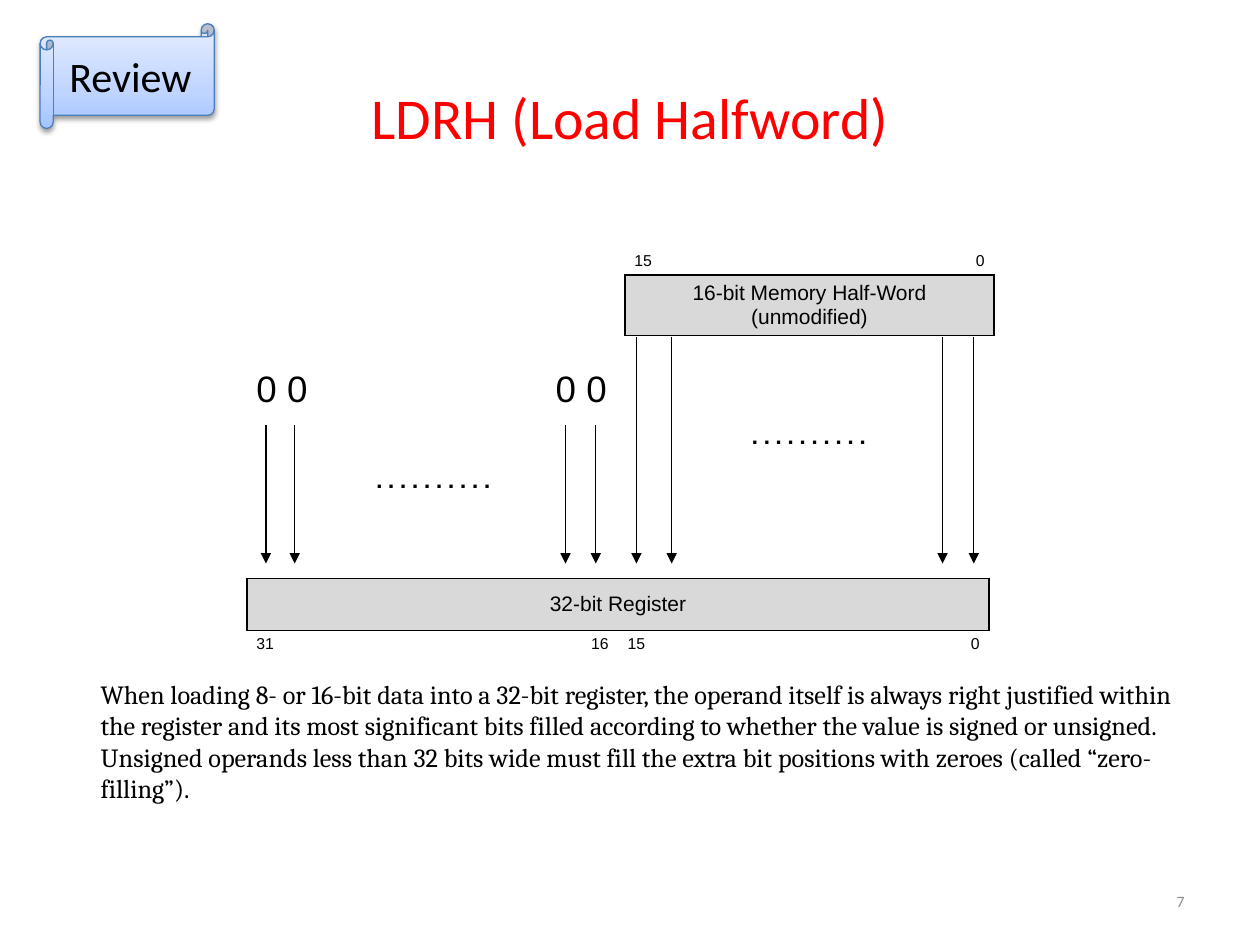
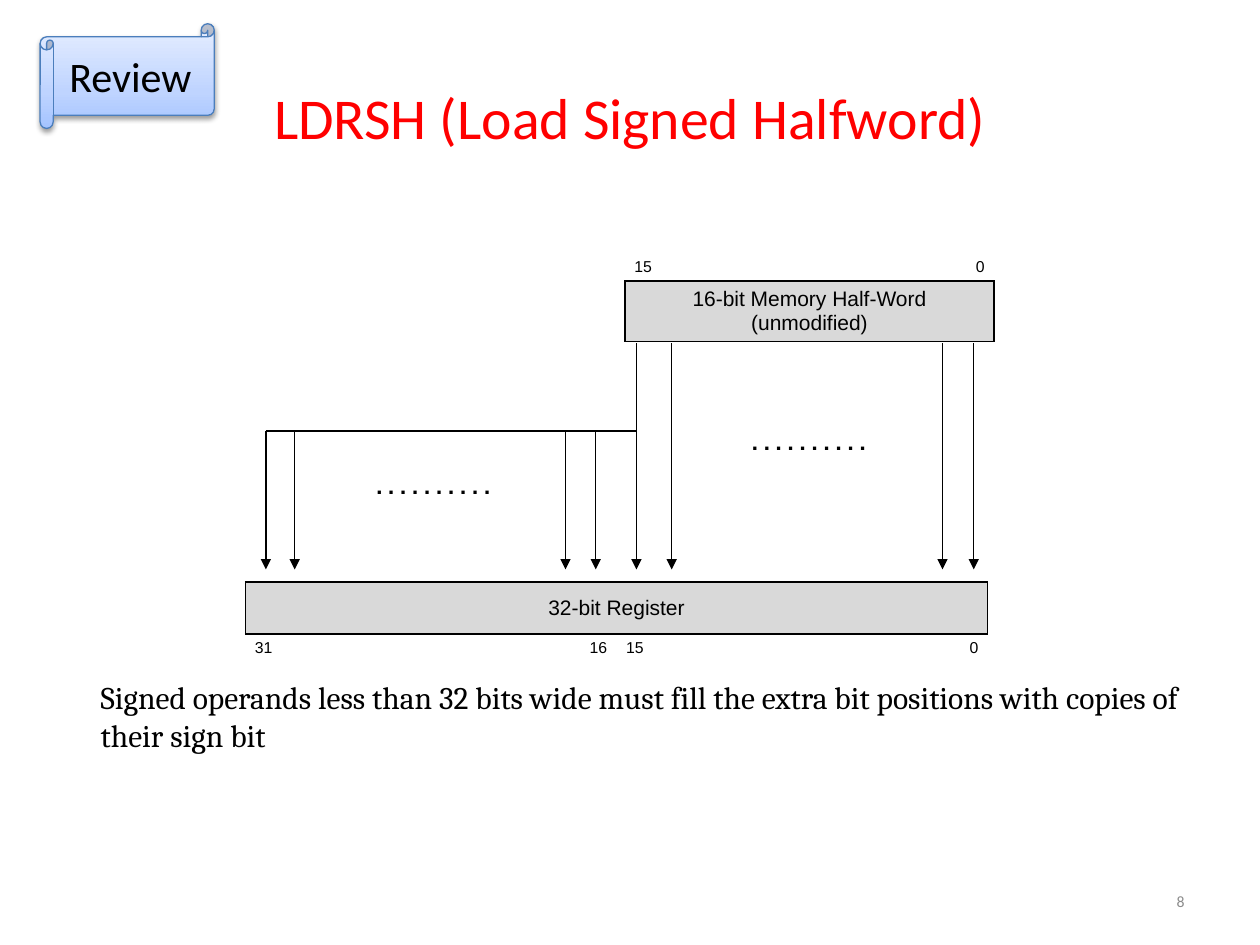
from lxml.etree import SubElement
from pptx import Presentation
from pptx.dml.color import RGBColor
from pptx.enum.shapes import MSO_CONNECTOR, MSO_SHAPE
from pptx.enum.text import MSO_ANCHOR, PP_ALIGN
from pptx.oxml.ns import qn
from pptx.util import Cm, Pt

RED = RGBColor(0xFF, 0x00, 0x00)
BLACK = RGBColor(0x00, 0x00, 0x00)
GREY = RGBColor(0xD9, 0xD9, 0xD9)
DIM = RGBColor(0x8C, 0x8C, 0x8C)
BLUE = RGBColor(0x4B, 0x7E, 0xBC)
FADE = [(0, RGBColor(0xA4, 0xC4, 0xFF)),
        (35, RGBColor(0xBF, 0xD4, 0xFF)),
        (100, RGBColor(0xE6, 0xEE, 0xFF))]

LEFT, MID, RIGHT = PP_ALIGN.LEFT, PP_ALIGN.CENTER, PP_ALIGN.RIGHT
PLAIN = "{2D5ABB26-0587-4C30-8999-92F81FD0307C}"
DOTS = ". . . . . . . . . ."
WORD = 7.44
FULL = 14.96
LOW_X = (5.36, 5.94, 11.4, 12.01)
HIGH_X = (12.83, 13.54, 19, 19.63)
LOW_Y, HIGH_Y, TIP_Y = 8.57, 6.8, 11.36
DROP = 0.12

ZERO = ("When loading 8- or 16-bit data into a 32-bit register, the operand "
        "itself is always right justified within the register and its most "
        "significant bits filled according to whether the value is signed or "
        "unsigned. Unsigned operands less than 32 bits wide must fill the "
        "extra bit positions with zeroes (called “zero-filling”).")
SIGN = ("Signed operands less than 32 bits wide must fill the extra bit "
        "positions with copies of their sign bit")


def write(frame, text, size=12, font="Arial", color=BLACK, align=LEFT,
          bold=False, anchor=MSO_ANCHOR.TOP):
    frame.word_wrap = True
    frame.vertical_anchor = anchor
    para = frame.paragraphs[0]
    para.alignment = align
    run = para.add_run()
    run.text = text
    run.font.size = Pt(size)
    run.font.name = font
    run.font.bold = bold
    run.font.color.rgb = color


def add_text(slide, area, text, **form):
    box = slide.shapes.add_textbox(*map(Cm, area))
    write(box.text_frame, text, **form)


def add_line(slide, start, end, arrow=True):
    line = slide.shapes.add_connector(MSO_CONNECTOR.STRAIGHT,
                                      *map(Cm, start + end))
    line.line.color.rgb = BLACK
    line.line.width = Pt(0.75)
    props = line.element.spPr
    if arrow:
        SubElement(props.find(qn("a:ln")), qn("a:tailEnd"), type="triangle")
    SubElement(props, qn("a:effectLst"))


def add_grid(slide, x, y, width, highs, count):
    frame = slide.shapes.add_table(len(highs), count, Cm(x), Cm(y),
                                   Cm(width), Cm(sum(highs)))
    grid = frame.table
    grid.first_row = grid.horz_banding = False
    frame.element.find(".//" + qn("a:tableStyleId")).text = PLAIN
    for row, high in zip(grid.rows, highs):
        row.height = Cm(high)
    for col in grid.columns:
        col.width = Cm(width / count)
    for cell in grid.iter_cells():
        cell.margin_left = cell.margin_right = Cm(0.19)
        cell.margin_top = cell.margin_bottom = Cm(0.1)
        cell.fill.background()
    return grid


def put(cell, text, anchor=MSO_ANCHOR.TOP, **form):
    write(cell.text_frame, text, **form)
    cell.vertical_anchor = anchor


def add_edge(cell):
    props = cell._tc.get_or_add_tcPr()
    for spot, side in enumerate("LRTB"):
        edge = props.makeelement(qn("a:ln" + side), {"w": str(Pt(1))})
        fill = SubElement(edge, qn("a:solidFill"))
        SubElement(fill, qn("a:srgbClr"), val=str(BLACK))
        props.insert(spot, edge)


def add_bar(grid, row, text):
    last = len(grid.columns) - 1
    for col in range(last + 1):
        add_edge(grid.cell(row, col))
    head = grid.cell(row, 0)
    head.merge(grid.cell(row, last))
    head.fill.solid()
    head.fill.fore_color.rgb = GREY
    put(head, text, align=MID, anchor=MSO_ANCHOR.MIDDLE)


def add_word(slide, y):
    grid = add_grid(slide, 12.6, y, WORD, (1.09, 1.22), 2)
    for col, (text, side) in enumerate((("15", LEFT), ("0", RIGHT))):
        put(grid.cell(0, col), text, size=9, align=side,
            anchor=MSO_ANCHOR.BOTTOM)
    add_bar(grid, 1, "16-bit Memory Half-Word (unmodified)")


def add_reg(slide, x, y):
    grid = add_grid(slide, x, y, FULL, (1.05, 1.05), 8)
    add_bar(grid, 0, "32-bit Register")
    marks = ((0, "31", LEFT), (3, "16", RIGHT), (4, "15", LEFT),
             (7, "0", RIGHT))
    for col, text, side in marks:
        put(grid.cell(1, col), text, size=9, align=side)


def add_zeros(slide):
    grid = add_grid(slide, 4.98, 7.34, WORD, (1.07,), 2)
    for col, side in enumerate((LEFT, RIGHT)):
        put(grid.cell(0, col), "0 0", size=21, align=side)


def add_flow(slide, drop):
    for tops, top in ((LOW_X, LOW_Y), (HIGH_X, HIGH_Y)):
        for x in tops:
            add_line(slide, (x, top + drop), (x, TIP_Y + drop))
    for x, y in ((14.07, 8.31), (6.5, 9.2)):
        add_text(slide, (x, y + drop, 4.47, 0.89), DOTS, size=15,
                 font="Cabin", bold=True, align=MID)


def add_scroll(slide):
    tag = slide.shapes.add_shape(MSO_SHAPE.HORIZONTAL_SCROLL,
                                 *map(Cm, (0.81, 0.48, 3.51, 2.11)))
    tag.fill.gradient()
    tag.fill.gradient_angle = 90
    props = tag.element.spPr
    stops = props.find(".//" + qn("a:gsLst"))
    for stop in list(stops):
        stops.remove(stop)
    for place, color in FADE:
        stop = SubElement(stops, qn("a:gs"), pos=str(place * 1000))
        SubElement(stop, qn("a:srgbClr"), val=str(color))
    tag.line.color.rgb = BLUE
    tag.line.width = Pt(0.75)
    tag.shadow.inherit = False
    shade = SubElement(props.find(qn("a:effectLst")), qn("a:outerShdw"),
                       blurRad=str(Pt(3.1)), dist=str(Pt(1.6)),
                       dir="5400000", rotWithShape="0")
    tint = SubElement(shade, qn("a:srgbClr"), val=str(BLACK))
    SubElement(tint, qn("a:alpha"), val="38000")
    write(tag.text_frame, "Review", size=24, font="Calibri", align=MID,
          anchor=MSO_ANCHOR.MIDDLE)


def add_page(deck, title, note, size, number):
    slide = deck.slides.add_slide(deck.slide_layouts[6])
    add_text(slide, (1.27, 0.76, 22.86, 3.18), title, size=33,
             font="Calibri", color=RED, align=MID, anchor=MSO_ANCHOR.MIDDLE)
    add_text(slide, (1.78, 13.54, 22.45, 2.8), note, size=size,
             font="Cambria")
    add_text(slide, (18.21, 17.65, 5.92, 1.02), number, size=9,
             font="Calibri", color=DIM, align=RIGHT,
             anchor=MSO_ANCHOR.MIDDLE)
    add_scroll(slide)
    return slide


def main():
    deck = Presentation()
    deck.slide_width, deck.slide_height = Cm(25.4), Cm(19.05)

    slide = add_page(deck, "LDRH (Load Halfword)", ZERO, 15, "7")
    add_reg(slide, 4.98, 11.66)
    add_word(slide, 4.45)
    add_zeros(slide)
    add_flow(slide, 0)

    slide = add_page(deck, "LDRSH (Load Signed Halfword)", SIGN, 18, "8")
    add_reg(slide, 4.95, 11.73)
    add_word(slide, 4.45 + DROP)
    add_flow(slide, DROP)
    bus = LOW_Y + DROP
    add_line(slide, (LOW_X[0], bus), (HIGH_X[0], bus), arrow=False)

    deck.save("out.pptx")


if __name__ == "__main__":
    main()
